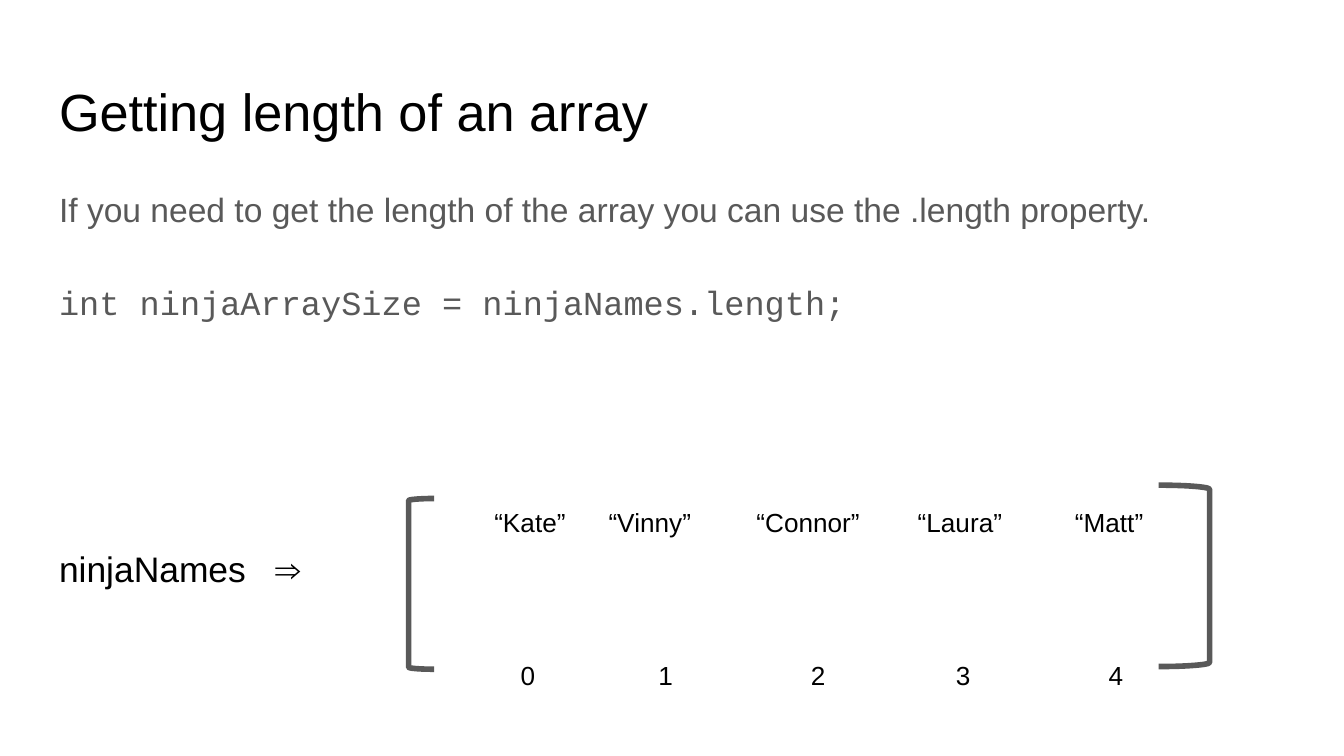
from dataclasses import dataclass

from lxml.etree import SubElement
from pptx import Presentation
from pptx.dml.color import RGBColor
from pptx.enum.shapes import MSO_SHAPE
from pptx.enum.text import MSO_ANCHOR, MSO_AUTO_SIZE
from pptx.oxml.ns import qn
from pptx.util import Inches, Pt

BLACK = RGBColor(0x00, 0x00, 0x00)
GRAY = RGBColor(0x59, 0x59, 0x59)
WHITE = RGBColor(0xFF, 0xFF, 0xFF)

SLIDE_WIDTH = 10
SLIDE_HEIGHT = SLIDE_WIDTH * 9 / 16
UNIT = SLIDE_WIDTH / 100  # one grid column or row, in inches
MARGIN = 3.41


@dataclass(frozen=True)
class Area:
    """A place on the grid, in columns and rows."""
    column: float
    row: float
    columns: float
    rows: float

    def lengths(self) -> list[int]:
        return [grid(n) for n in (self.column, self.row, self.columns, self.rows)]


@dataclass(frozen=True)
class Line:
    """One paragraph; a tab in the text moves to the next stop."""
    text: str
    size: float
    color: RGBColor = BLACK
    font: str = "Arial"
    stops: tuple[float, ...] = ()
    spacing: float = 1.0
    after: float = 0


@dataclass(frozen=True)
class Bracket:
    kind: MSO_SHAPE
    area: Area


def grid(units: float) -> int:
    return Inches(units * UNIT)


def add_text(shapes, area: Area, lines: list[Line], grow: bool = False) -> None:
    frame = shapes.add_textbox(*area.lengths()).text_frame
    frame.word_wrap = True
    frame.vertical_anchor = MSO_ANCHOR.TOP
    frame.auto_size = MSO_AUTO_SIZE.SHAPE_TO_FIT_TEXT if grow else MSO_AUTO_SIZE.NONE
    frame.margin_left = frame.margin_right = grid(1)
    frame.margin_top = frame.margin_bottom = grid(1)
    for index, line in enumerate(lines):
        paragraph = frame.add_paragraph() if index else frame.paragraphs[0]
        paragraph.line_spacing = line.spacing
        paragraph.space_after = Pt(line.after)
        if line.stops:
            tabs = SubElement(paragraph._p.get_or_add_pPr(), qn("a:tabLst"))
            for stop in line.stops:
                SubElement(tabs, qn("a:tab"), pos=str(grid(stop)), algn="l")
        run = paragraph.add_run()
        run.text = line.text
        run.font.name = line.font
        run.font.size = Pt(line.size)
        run.font.color.rgb = line.color


def add_bracket(shapes, bracket: Bracket) -> None:
    shape = shapes.add_shape(bracket.kind, *bracket.area.lengths())
    shape.adjustments[0] = 0.08
    shape.shadow.inherit = False
    shape.fill.background()
    shape.line.color.rgb = GRAY
    shape.line.width = Pt(3)


def tabbed(items: list[str]) -> str:
    return "".join(f"\t{item}" for item in items)


NAMES = ["“Kate”", "“Vinny”", "“Connor”", "“Laura”", "“Matt”"]
NAME_STOPS = (1.1, 9.6, 20.6, 32.6, 44.3)
INDEX_STOPS = (1.05, 11.3, 22.65, 33.45, 44.8)
BRACKETS = [
    Bracket(MSO_SHAPE.LEFT_BRACKET, Area(30.4, 37.1, 1.9, 12.7)),
    Bracket(MSO_SHAPE.RIGHT_BRACKET, Area(86.2, 36.1, 3.8, 13.5)),
]


def main() -> None:
    presentation = Presentation()
    presentation.slide_width = Inches(SLIDE_WIDTH)
    presentation.slide_height = Inches(SLIDE_HEIGHT)
    slide = presentation.slides.add_slide(presentation.slide_layouts[6])
    slide.background.fill.solid()
    slide.background.fill.fore_color.rgb = WHITE

    # Title and explanation
    add_text(slide.shapes, Area(MARGIN, 4.9, 93.2, 6.3),
             [Line("Getting length of an array", 28)])
    add_text(slide.shapes, Area(MARGIN, 12.6, 94.2, 18.8), [
        Line("If you need to get the length of the array you can use the .length property.",
             18, GRAY, spacing=1.15, after=25),
        Line("int ninjaArraySize = ninjaNames.length;", 18, GRAY, "Courier New",
             spacing=1.15),
    ])

    # Array contents between brackets, with the indexes below
    array = slide.shapes.add_group_shape().shapes
    add_text(array, Area(34.7, 36.7, 54.4, 4.4),
             [Line(tabbed(NAMES), 14, stops=NAME_STOPS)], grow=True)
    for bracket in BRACKETS:
        add_bracket(array, bracket)
    indexes = [str(index) for index in range(len(NAMES))]
    add_text(array, Area(36.7, 48.05, 61, 4.4),
             [Line(tabbed(indexes), 14, stops=INDEX_STOPS)], grow=True)

    # Array label
    add_text(slide.shapes, Area(MARGIN, 39.7, 21.1, 5.2),
             [Line("ninjaNames\t⇒", 19, stops=(16.1,))], grow=True)

    presentation.save("out.pptx")


if __name__ == "__main__":
    main()
